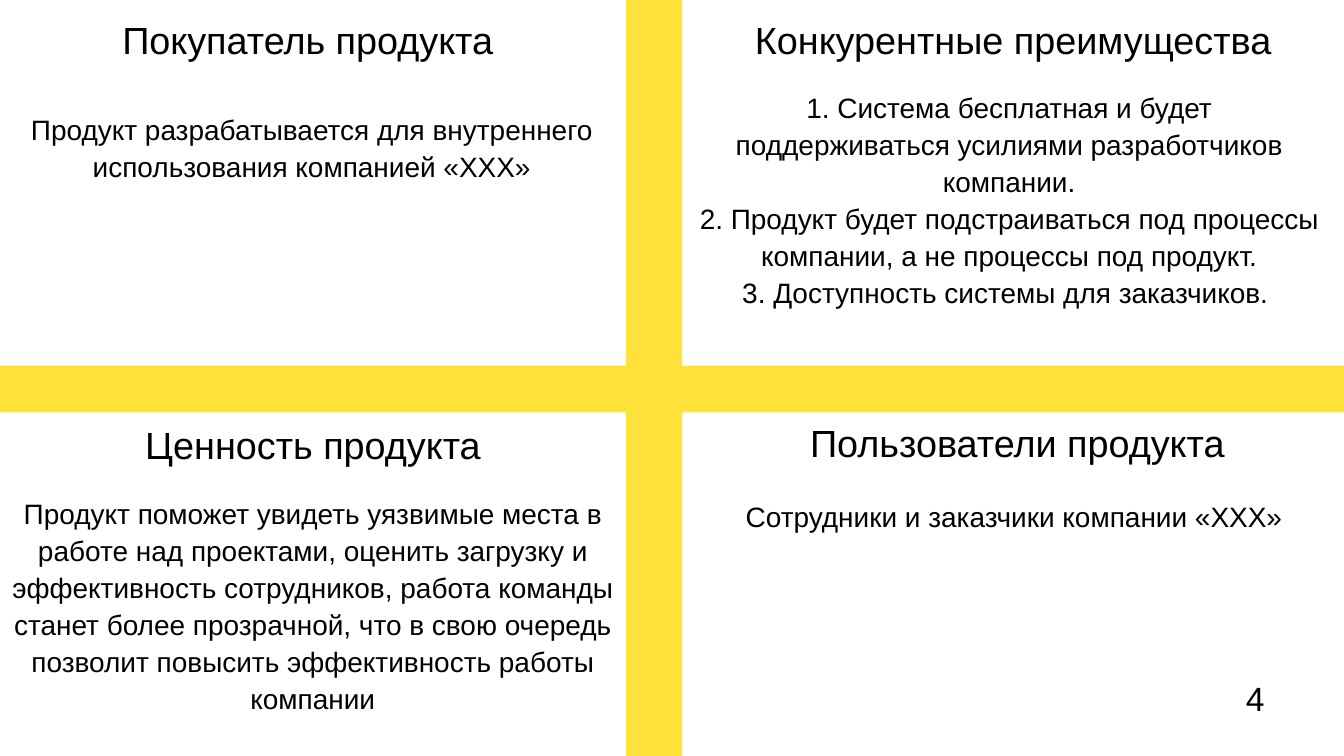
"""Build a four-quadrant product slide divided by a yellow cross."""
from lxml import etree
from pptx import Presentation
from pptx import util as u
from pptx.dml.color import RGBColor
from pptx.enum import shapes, text
from pptx.oxml.ns import qn

COLORS = {"yellow": "FFE139", "black": "000000"}
FONT = "Arial"


def place(shape, left, top, width, height):
    shape.left, shape.top = u.Pt(left), u.Pt(top)
    shape.width, shape.height = u.Pt(width), u.Pt(height)


def write(shape, lines, size, spacing, inset, align=text.PP_ALIGN.CENTER):
    frame = shape.text_frame
    frame.text = "\n".join(lines)
    frame.word_wrap = True
    frame.auto_size = text.MSO_AUTO_SIZE.NONE
    frame.vertical_anchor = text.MSO_ANCHOR.TOP
    frame.margin_left = frame.margin_right = u.Pt(inset)
    frame.margin_top = frame.margin_bottom = u.Pt(inset)
    for paragraph in frame.paragraphs:
        properties = paragraph._p.get_or_add_pPr()
        properties.set("marL", "0")
        properties.set("indent", "0")
        etree.SubElement(properties, qn("a:buNone"))
        paragraph.alignment = align
        paragraph.line_spacing = spacing
        paragraph.space_before = u.Pt(0)
        for run in paragraph.runs:
            run.font.name = FONT
            run.font.size = u.Pt(size)
            run.font.bold = False
            run.font.color.rgb = RGBColor.from_string(COLORS["black"])


presentation = Presentation()
presentation.slide_width, presentation.slide_height = u.Pt(1920), u.Pt(1080)
comparison_layout = presentation.slide_layouts[4]
slide = presentation.slides.add_slide(comparison_layout)

for bounds in [(894.5, 0, 80, 1080), (0, 522.5, 1920, 66.5)]:
    bar = slide.shapes.add_shape(shapes.MSO_SHAPE.RECTANGLE, 0, 0, 0, 0)
    place(bar, *bounds)
    bar.shadow.inherit = False
    bar.fill.solid()
    bar.fill.fore_color.rgb = RGBColor.from_string(COLORS["yellow"])
    bar.line.fill.background()

headings = [
    ("Покупатель продукта ", (0, 26.5, 894.5, 67), 4.5),
    ("Конкурентные преимущества", (980.5, 24, 934, 73.5), 7.2),
    ("Ценность продукта", (0, 602, 894.5, 73.5), 7.2),
    ("Пользователи продукта", (986.5, 602, 934, 67), 4.5),
]
for index, (heading, bounds, inset) in enumerate(headings):
    shape = slide.shapes.title if index == 0 else slide.shapes.add_textbox(0, 0, 0, 0)
    place(shape, *bounds)
    write(shape, [heading], 54, 0.9, inset)

bodies = [
    (["Продукт разрабатывается для внутреннего использования компанией «XXX»"],
     (20, 149, 850.5, 223)),
    (["1. Система бесплатная и будет поддерживаться усилиями разработчиков компании.",
      "2. Продукт будет подстраиваться под процессы компании, а не процессы под продукт.",
      "3. Доступность системы для заказчиков. "],
     (986.5, 118, 910, 330)),
    (["Продукт поможет увидеть уязвимые места в работе над проектами, оценить загрузку и "
      "эффективность сотрудников, работа команды станет более прозрачной, что в свою "
      "очередь позволит повысить эффективность работы компании"],
     (6.5, 697, 880.5, 330)),
    (["Сотрудники и заказчики компании «XXX»"],
     (981.5, 702, 934, 63.5)),
]
for index, (lines, bounds) in enumerate(bodies, start=1):
    body = slide.placeholders[index]
    place(body, *bounds)
    write(body, lines, 40, 1.1, 7.2)

page_number = slide.shapes.add_textbox(0, 0, 0, 0)
place(page_number, 1775.5, 963.5, 34, 66)
write(page_number, ["4"], 48, 1.0, 4.5, text.PP_ALIGN.RIGHT)

presentation.save("out.pptx")
